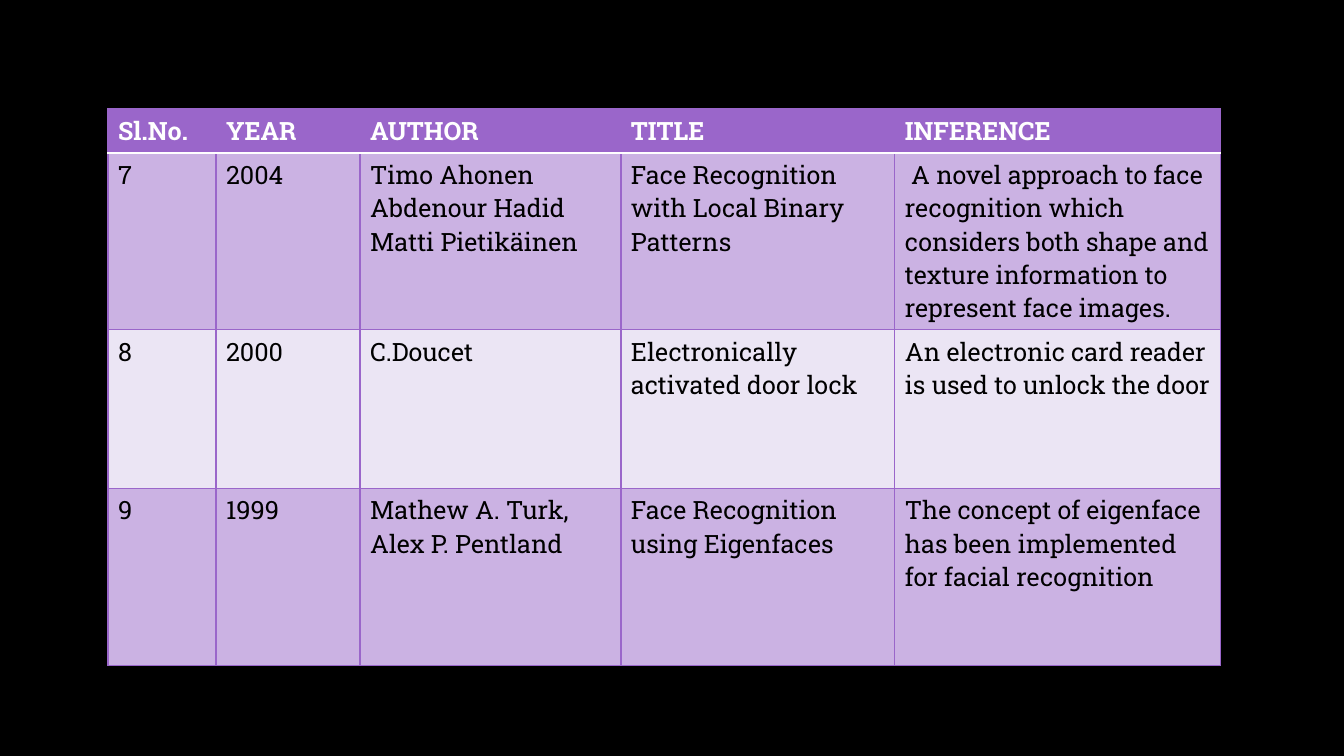
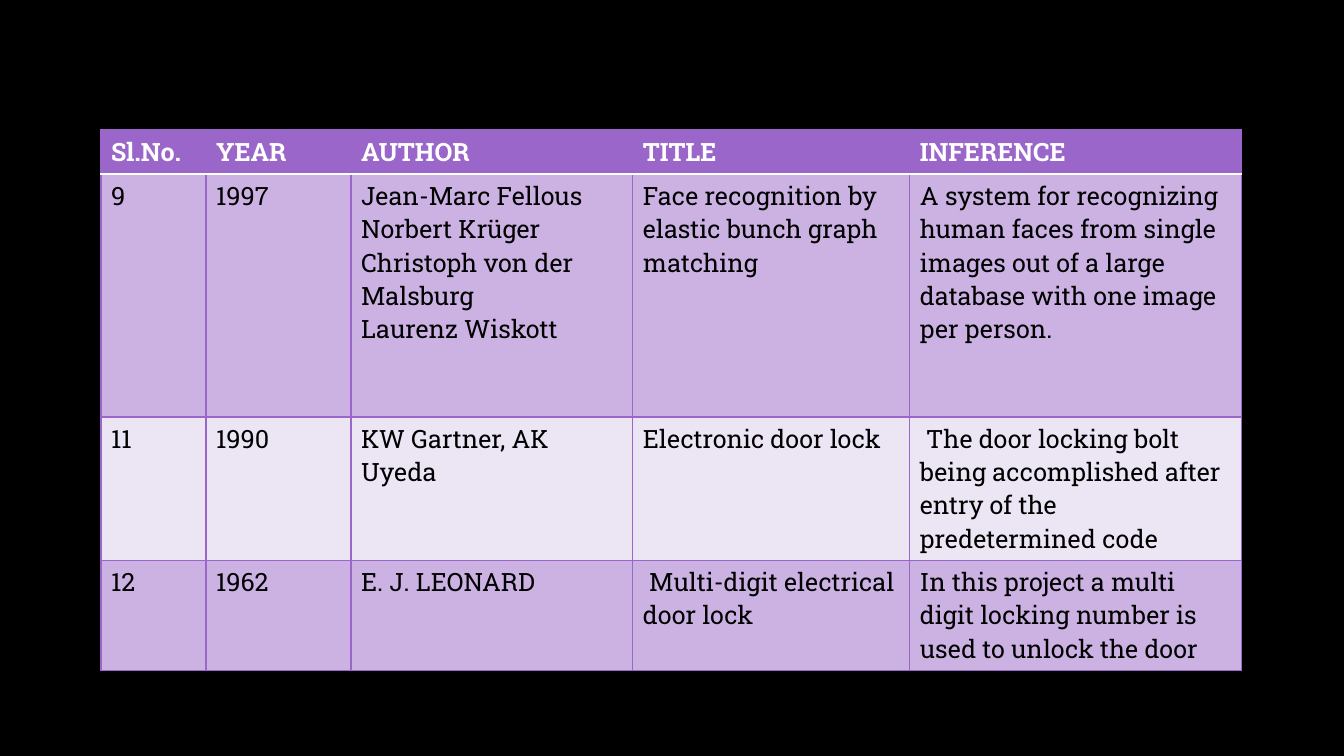
"""Build two literature survey slides, each with one table on black."""
from lxml import etree
from pptx import Presentation
from pptx.dml.color import RGBColor
from pptx.oxml.ns import qn
from pptx.util import Emu, Pt

SLIDE_WIDTH, SLIDE_HEIGHT = 1344, 756
EMU_PER_PX = 12192000 / SLIDE_WIDTH
FONT = "Roboto Slab"
FONT_SIZE = Pt(18)
COLORS = {
    "background": "000000",
    "header": "9A66CA",
    "band": "CBB2E3",
    "plain": "EBE5F4",
    "header_text": "FFFFFF",
    "body_text": "000000",
    "border": "9A66CA",
    "header_rule": "FFFFFF",
}
HEADINGS = ["Sl.No.", "YEAR", "AUTHOR", "TITLE", "INFERENCE"]

SURVEYS = [
    {
        "left": 108,
        "top": 109,
        "columns": [108, 144, 261, 274, 326],
        "rows": [44, 176, 159, 177],
        "entries": [
            ["7", "2004", "Timo Ahonen\nAbdenour Hadid\nMatti Pietikäinen",
             "Face Recognition with Local Binary Patterns",
             " A novel approach to face recognition which considers both shape "
             "and texture information to represent face images."],
            ["8", "2000", "C.Doucet", "Electronically activated door lock",
             "An electronic card reader is used to unlock the door"],
            ["9", "1999", "Mathew A. Turk, Alex P. Pentland",
             "Face Recognition using Eigenfaces",
             "The concept of eigenface has been implemented for facial recognition"],
        ],
    },
    {
        "left": 101,
        "top": 130,
        "columns": [105, 145, 282, 277, 332],
        "rows": [44, 243, 143, 110],
        "entries": [
            ["9", "1997",
             "Jean-Marc Fellous\nNorbert Krüger\n"
             "Christoph von der Malsburg\nLaurenz Wiskott",
             "Face recognition by elastic bunch graph matching",
             "A system for recognizing human faces from single images out of a "
             "large database with one image per person."],
            ["11", "1990", "KW Gartner, AK Uyeda", "Electronic door lock",
             " The door locking bolt being accomplished after entry of the "
             "predetermined code"],
            ["12", "1962", "E. J. LEONARD", " Multi-digit electrical door lock",
             "In this project a multi digit locking number is used to unlock the door"],
        ],
    },
]


def px(length):
    return Emu(round(length * EMU_PER_PX))


def set_borders(cell, top_rule, bottom_rule):
    properties = cell._tc.get_or_add_tcPr()
    for position, side in enumerate(["lnL", "lnR", "lnT", "lnB"]):
        is_rule = (side == "lnT" and top_rule) or (side == "lnB" and bottom_rule)
        line = etree.Element(qn(f"a:{side}"), w=str(Pt(1.5 if is_rule else 1)))
        fill = etree.SubElement(line, qn("a:solidFill"))
        color = COLORS["header_rule" if is_rule else "border"]
        etree.SubElement(fill, qn("a:srgbClr"), val=color)
        properties.insert(position, line)


presentation = Presentation()
presentation.slide_width = px(SLIDE_WIDTH)
presentation.slide_height = px(SLIDE_HEIGHT)
background = presentation.slide_master.background.fill
background.solid()
background.fore_color.rgb = RGBColor.from_string(COLORS["background"])
blank_layout = presentation.slide_layouts[6]

for survey in SURVEYS:
    slide = presentation.slides.add_slide(blank_layout)
    shape = slide.shapes.add_table(
        len(survey["rows"]), len(HEADINGS), px(survey["left"]), px(survey["top"]),
        px(sum(survey["columns"])), px(sum(survey["rows"])))
    table = shape.table
    table.horz_banding = False
    for column, width in zip(table.columns, survey["columns"]):
        column.width = px(width)
    for row, height in zip(table.rows, survey["rows"]):
        row.height = px(height)

    for row_index, texts in enumerate([HEADINGS] + survey["entries"]):
        is_header = row_index == 0
        fill_name = "header" if is_header else "band" if row_index % 2 else "plain"
        text_name = "header_text" if is_header else "body_text"
        for column_index, text in enumerate(texts):
            cell = table.cell(row_index, column_index)
            cell.fill.solid()
            cell.fill.fore_color.rgb = RGBColor.from_string(COLORS[fill_name])
            set_borders(cell, row_index == 1, is_header)
            cell.text_frame.text = text
            for paragraph in cell.text_frame.paragraphs:
                for run in paragraph.runs:
                    run.font.name = FONT
                    run.font.size = FONT_SIZE
                    run.font.bold = is_header
                    run.font.color.rgb = RGBColor.from_string(COLORS[text_name])

presentation.save("out.pptx")
